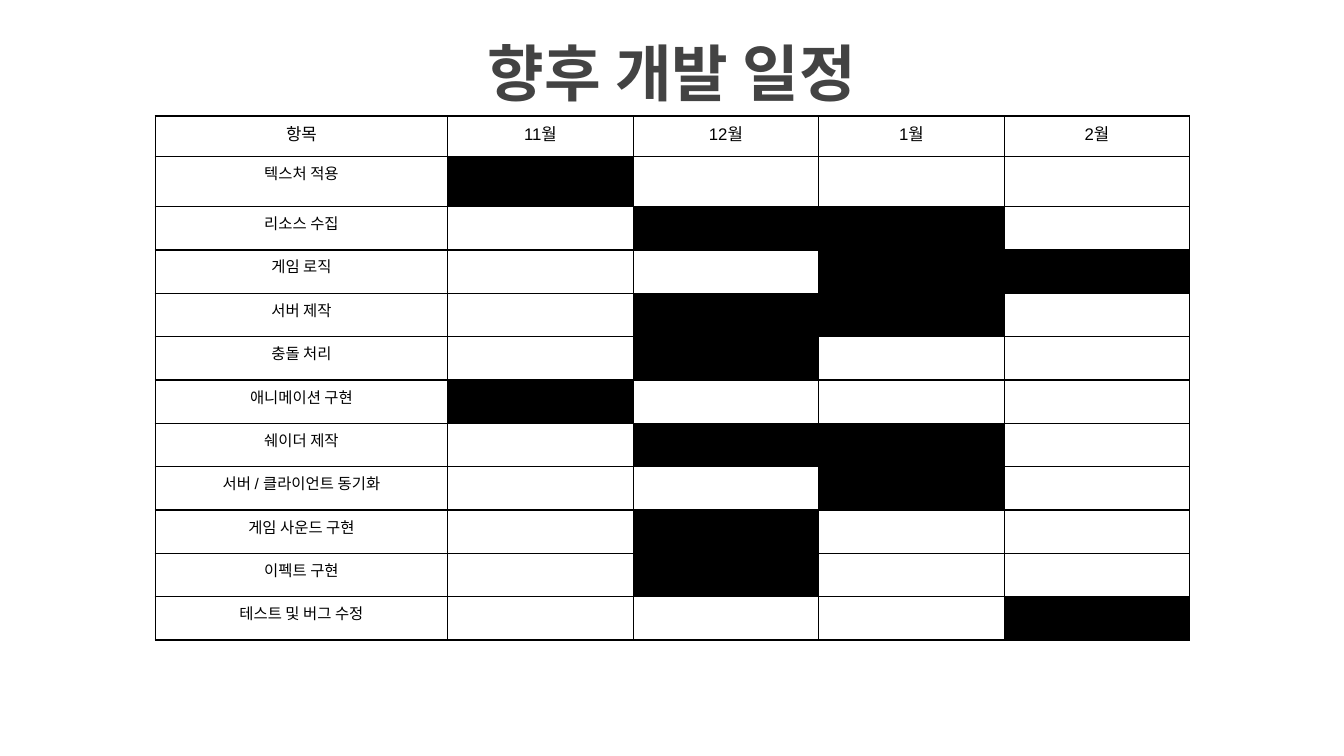
from lxml import etree
from pptx import Presentation
from pptx import util as u
from pptx.dml.color import RGBColor
from pptx.enum import text
from pptx.oxml.ns import qn

BLACK = RGBColor(0x00, 0x00, 0x00)
WHITE = RGBColor(0xFF, 0xFF, 0xFF)
TITLE_GRAY = RGBColor(0x43, 0x43, 0x43)
KOREAN_FONT = "Noto Sans CJK KR"

HEADERS = ["항목", "11월", "12월", "1월", "2월"]
TASKS = [
    ("텍스처 적용", {1}),
    ("리소스 수집", {2, 3}),
    ("게임 로직", {3, 4}),
    ("서버 제작", {2, 3}),
    ("충돌 처리", {2}),
    ("애니메이션 구현", {1}),
    ("쉐이더 제작", {2, 3}),
    ("서버 / 클라이언트 동기화", {3}),
    ("게임 사운드 구현", {2}),
    ("이펙트 구현", {2}),
    ("테스트 및 버그 수정", {4}),
]
COLUMN_WIDTHS = [2.9] + [1.84] * 4
ROW_HEIGHTS = [0.4, 0.5] + [0.43] * 10


def style_paragraph(para, size, latin, color, bold=False):
    para.alignment = text.PP_ALIGN.CENTER
    font = para.font
    font.size = u.Pt(size)
    font.name = latin
    font.bold = bold
    font.color.rgb = color
    properties = para._p.pPr.find(qn("a:defRPr"))
    etree.SubElement(properties, qn("a:ea"), typeface=KOREAN_FONT)


def add_borders(cell):
    properties = cell._tc.get_or_add_tcPr()
    for index, side in enumerate(("a:lnL", "a:lnR", "a:lnT", "a:lnB")):
        line = etree.Element(qn(side), w=str(u.Pt(1)))
        fill = etree.SubElement(line, qn("a:solidFill"))
        etree.SubElement(fill, qn("a:srgbClr"), val=str(BLACK))
        properties.insert(index, line)


def fill_cell(cell, words, size, color):
    cell.fill.solid()
    cell.fill.fore_color.rgb = color
    add_borders(cell)
    para = cell.text_frame.paragraphs[0]
    if words:
        para.text = words
    style_paragraph(para, size, "Arial", BLACK)


def add_title(page, left, top, width, height):
    box = page.shapes.add_textbox(*map(u.Inches, (left, top, width, height)))
    frame = box.text_frame
    frame.word_wrap = True
    frame.vertical_anchor = text.MSO_ANCHOR.MIDDLE
    frame.margin_left = frame.margin_right = u.Inches(0.1)
    frame.margin_top = frame.margin_bottom = u.Inches(0.1)
    para = frame.paragraphs[0]
    para.text = "향후 개발 일정"
    style_paragraph(para, 44, KOREAN_FONT, TITLE_GRAY, bold=True)


def add_schedule(page, left, top):
    size = sum(COLUMN_WIDTHS), sum(ROW_HEIGHTS)
    table = page.shapes.add_table(
        len(ROW_HEIGHTS), len(COLUMN_WIDTHS), *map(u.Inches, (left, top, *size))
    ).table
    for column, width in zip(table.columns, COLUMN_WIDTHS):
        column.width = u.Inches(width)
    for row, height in zip(table.rows, ROW_HEIGHTS):
        row.height = u.Inches(height)
    for column, header in enumerate(HEADERS):
        fill_cell(table.cell(0, column), header, 12, WHITE)
    for row, (task, months) in enumerate(TASKS, start=1):
        for column in range(len(HEADERS)):
            words = task if column == 0 else ""
            color = BLACK if column in months else WHITE
            fill_cell(table.cell(row, column), words, 11, color)


def main():
    deck = Presentation()
    deck.slide_width = u.Inches(13.33)
    deck.slide_height = u.Inches(7.5)
    page = deck.slides.add_slide(deck.slide_layouts[6])
    add_title(page, 2.7, 0.29, 7.93, 0.84)
    add_schedule(page, 1.54, 1.15)
    deck.save("out.pptx")


if __name__ == "__main__":
    main()
